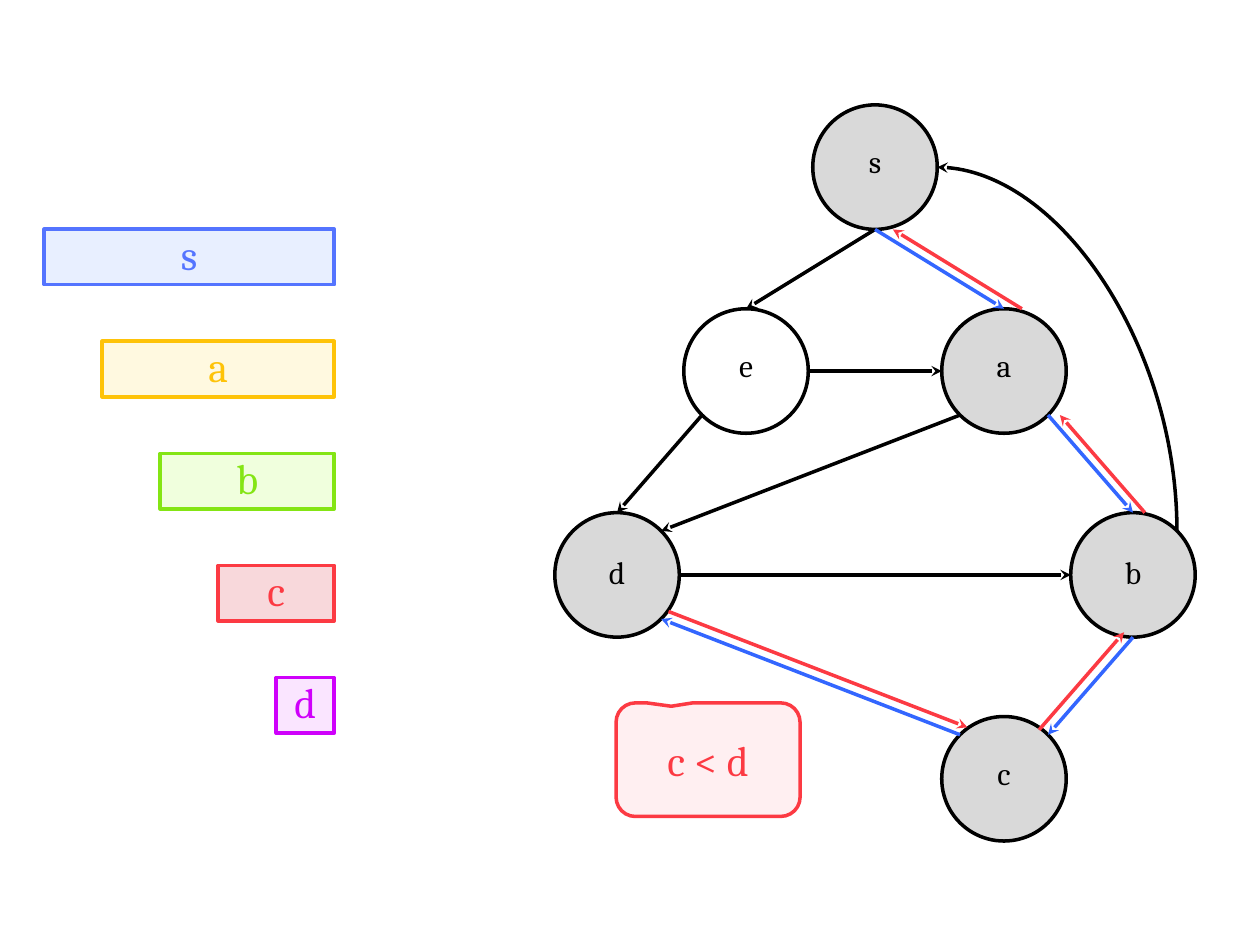
"""Build a slide with a depth-first search graph and its call stack."""
from math import cos, radians, sin

from lxml.etree import SubElement
from pptx import Presentation
from pptx.dml.color import RGBColor
from pptx.enum.shapes import MSO_CONNECTOR as Link, MSO_SHAPE as Shape
from pptx.enum.text import MSO_ANCHOR as Anchor, PP_ALIGN as Align
from pptx.oxml.ns import qn
from pptx.util import Cm, Pt

COLORS = {
    "black": "000000", "white": "FFFFFF", "visited": "D9D9D9",
    "forward": "3366FF", "back": "FC3A43", "back_pale": "FFEFF1",
    "s": "5474FF", "s_pale": "E8EFFF", "a": "FEC309", "a_pale": "FFF9E0",
    "b": "84E514", "b_pale": "F0FFDD", "c": "FC3A43", "c_pale": "F8D8DB",
    "d": "CF00FB", "d_pale": "FAE5FF",
}
DIAMETER = 2.51
TOP_X, TOP_Y, STEP_X, STEP_Y = 17.64, 3.37, 2.6, 4.11
NODES = {"s": (0, 0), "d": (-2, 2), "b": (2, 2), "e": (-1, 1), "a": (1, 1), "c": (1, 3)}
ANGLES = {"right": 0, "lower right": 45, "bottom": 90, "lower left": 135,
          "left": 180, "top": 270, "upper right": 315}
PLAIN_EDGES = [
    ("s", "bottom", "e", "top"), ("e", "lower left", "d", "top"),
    ("d", "right", "b", "left"), ("e", "right", "a", "left"),
    ("a", "lower left", "d", "upper right"),
]
SEARCH_EDGES = [
    ("s", "bottom", "a", "top", (0.36, 0)),
    ("a", "lower right", "b", "top", (0.24, 0)),
    ("b", "bottom", "c", "upper right", (-0.18, -0.1)),
    ("c", "upper left", "d", "lower right", (0.15, -0.15)),
]
ANGLES["upper left"] = 225
STACK_RIGHT, STACK_TOP, STACK_STEP = 6.74, 4.62, 2.26
FRAME_UNIT, FRAME_HEIGHT = 1.17, 1.12


def center(name):
    """Return the centre of a node in centimetres."""
    column, row = NODES[name]
    return TOP_X + column * STEP_X, TOP_Y + row * STEP_Y


def rim(name, side):
    """Return the point on a node's outline at the given side."""
    x, y = center(name)
    angle = radians(ANGLES[side])
    return x + DIAMETER / 2 * cos(angle), y + DIAMETER / 2 * sin(angle)


class SlideBuilder:
    """Hold the style and the current slide."""

    font = "Cambria"
    line_width = Pt(2)

    def __init__(self, slide):
        """Keep the slide to draw on."""
        self.slide = slide

    def color(self, name):
        """Return a named colour."""
        return RGBColor.from_string(COLORS[name])

    def box(self, kind, bounds, text, size, fill, ink, line, insets):
        """Add a filled shape with one centred line of text."""
        box = self.slide.shapes.add_shape(kind, *map(Cm, bounds))
        box.shadow.inherit = False
        box.fill.solid()
        box.fill.fore_color.rgb = self.color(fill)
        box.line.color.rgb = self.color(line)
        box.line.width = self.line_width
        frame = box.text_frame
        frame.vertical_anchor = Anchor.MIDDLE
        frame.margin_left = frame.margin_right = Cm(insets[0])
        frame.margin_top, frame.margin_bottom = map(Cm, insets[1:])
        para = frame.paragraphs[0]
        para.alignment = Align.CENTER
        span = para.add_run()
        span.text = text
        span.font.name = self.font
        span.font.size = Pt(size)
        span.font.color.rgb = self.color(ink)
        return box

    def node(self, name):
        """Add a graph node."""
        x, y = center(name)
        bounds = (x - DIAMETER / 2, y - DIAMETER / 2, DIAMETER, DIAMETER)
        fill = "white" if name == "e" else "visited"
        bottom = 0.13 if name in "db" else 0.25
        self.box(Shape.OVAL, bounds, name, 18, fill, "black", "black", (0, 0, bottom))

    def stack_frame(self, name, level, units):
        """Add a call-stack bar aligned to the right edge."""
        width = FRAME_UNIT * units
        bounds = (STACK_RIGHT - width, STACK_TOP + level * STACK_STEP, width, FRAME_HEIGHT)
        self.box(Shape.RECTANGLE, bounds, name, 24, f"{name}_pale", name, name, (0.25, 0, 0.13))

    def callout(self, bounds, text, adjustments):
        """Add a rounded callout."""
        box = self.box(Shape.ROUNDED_RECTANGULAR_CALLOUT, bounds, text, 24,
                       "back_pale", "back", "back", (0.25, 0.13, 0.13))
        for index, value in enumerate(adjustments):
            box.adjustments[index] = value

    def arrow(self, start, end, color="black", kind=Link.STRAIGHT, arrow_end="tailEnd"):
        """Add a connector with a stealth arrowhead."""
        link = self.slide.shapes.add_connector(kind, *map(Cm, (*start, *end)))
        link.line.color.rgb = self.color(color)
        link.line.width = self.line_width
        properties = link._element.spPr
        SubElement(link.line._get_or_add_ln(), qn(f"a:{arrow_end}"), type="stealth")
        SubElement(properties, qn("a:effectLst"))
        return link

    def curve(self, start, end):
        """Add a quarter-turn curve with its arrowhead at the start."""
        link = self.arrow(start, end, kind=Link.CURVE, arrow_end="headEnd")
        link._element.spPr.find(qn("a:prstGeom")).set("prst", "curvedConnector2")


def main():
    """Build and save the deck."""
    deck = Presentation()
    deck.slide_width, deck.slide_height = Cm(25.4), Cm(19.05)
    page = SlideBuilder(deck.slides.add_slide(deck.slide_layouts[6]))

    for name in NODES:
        page.node(name)
    for origin, exit_side, target, entry_side in PLAIN_EDGES:
        page.arrow(rim(origin, exit_side), rim(target, entry_side))
    page.curve(rim("s", "right"), rim("b", "upper right"))
    for origin, exit_side, target, entry_side, (shift_x, shift_y) in SEARCH_EDGES:
        start, end = rim(origin, exit_side), rim(target, entry_side)
        page.arrow(start, end, "forward")
        page.arrow((end[0] + shift_x, end[1] + shift_y),
                   (start[0] + shift_x, start[1] + shift_y), "back")

    page.callout((12.42, 14.17, 3.71, 2.29), "c < d", (-0.2, -0.47, 0.17))
    for level, name in enumerate("sabcd"):
        page.stack_frame(name, level, 5 - level)
    deck.save("out.pptx")


if __name__ == "__main__":
    main()
